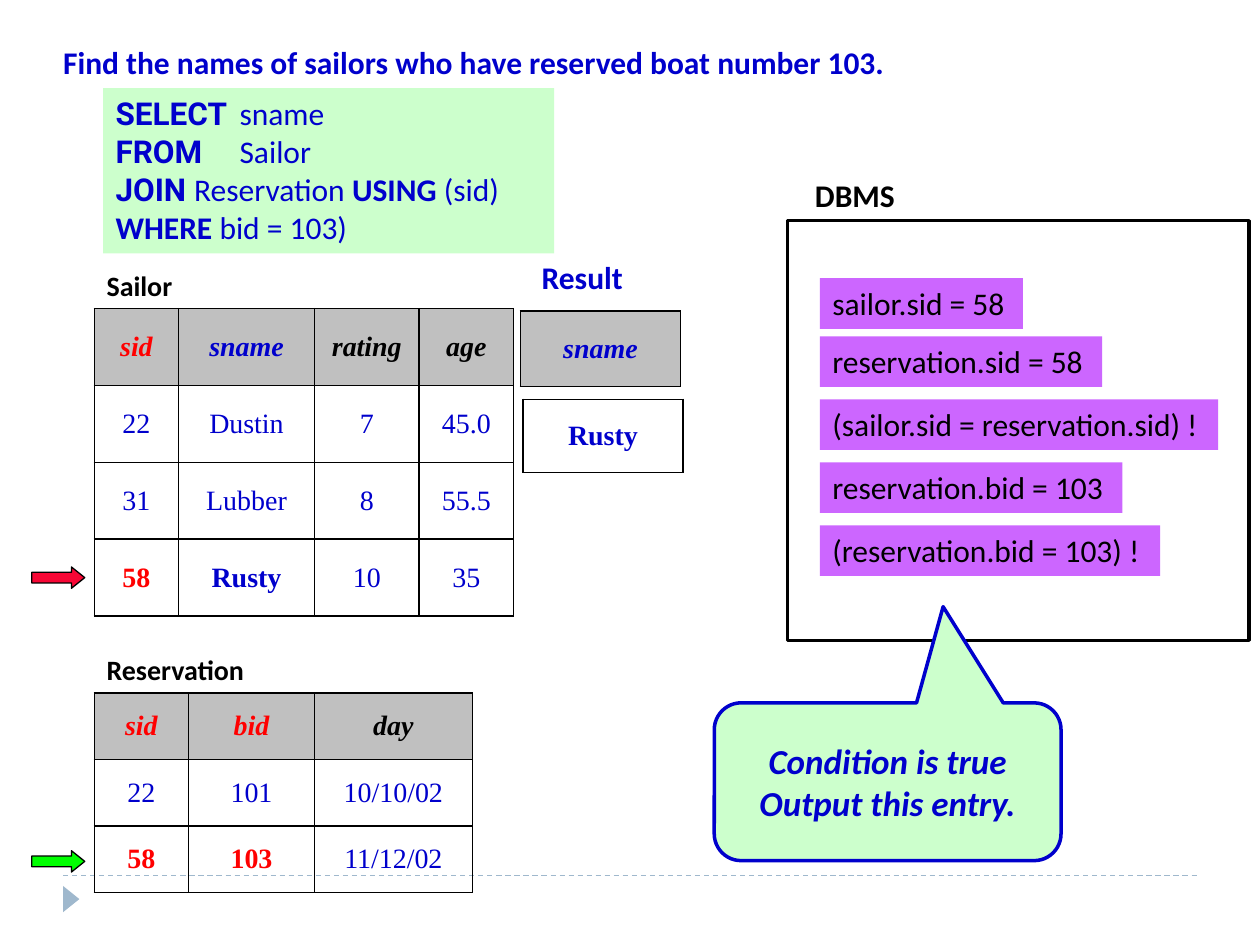
from lxml import etree
from pptx import Presentation
from pptx.dml.color import RGBColor
from pptx.enum.dml import MSO_LINE
from pptx.enum.shapes import MSO_CONNECTOR, MSO_SHAPE
from pptx.enum.text import MSO_ANCHOR, MSO_AUTO_SIZE, PP_ALIGN
from pptx.oxml.ns import qn
from pptx.util import Cm, Pt

LEFT, CENTER = PP_ALIGN.LEFT, PP_ALIGN.CENTER
TOP, MIDDLE = MSO_ANCHOR.TOP, MSO_ANCHOR.MIDDLE
RECT, ARROW = MSO_SHAPE.RECTANGLE, MSO_SHAPE.RIGHT_ARROW
CALLOUT, TRIANGLE = MSO_SHAPE.ROUNDED_RECTANGULAR_CALLOUT, MSO_SHAPE.ISOSCELES_TRIANGLE

COLORS = {
    "blue": "0000CC", "red": "FF0000", "black": "000000", "white": "FFFFFF",
    "gray": "C0C0C0", "mint": "CCFFCC", "purple": "CC66FF", "steel": "9FB8CD",
    "crimson": "F70735", "green": "00FF00",
}
RGB = {name: RGBColor.from_string(value) for name, value in COLORS.items()}


def write(frame, lines, color, align=LEFT, anchor=TOP, wrap=False, tab=None, **base):
    """Fill a text frame; each line is a list of (text, font changes)."""
    frame.word_wrap = wrap
    frame.vertical_anchor = anchor
    for i, line in enumerate(lines):
        paragraph = frame.paragraphs[0] if i == 0 else frame.add_paragraph()
        paragraph.alignment = align
        if tab:
            stops = etree.SubElement(paragraph._p.get_or_add_pPr(), qn("a:tabLst"))
            etree.SubElement(stops, qn("a:tab"), pos=str(tab), algn="l")
        for text, changes in line:
            run = paragraph.add_run()
            run.text = text
            for key, value in {"name": "Calibri", **base, **changes}.items():
                setattr(run.font, key, value)
            run.font.color.rgb = RGB[color]


def add_box(kind, place, fill=None, line=None, width=0.75):
    shape = slide.shapes.add_shape(kind, *map(Cm, place))
    shape.shadow.inherit = False
    if fill:
        shape.fill.solid()
        shape.fill.fore_color.rgb = RGB[fill]
    else:
        shape.fill.background()
    if line:
        shape.line.color.rgb = RGB[line]
        shape.line.width = Pt(width)
    else:
        shape.line.fill.background()
    return shape


prs = Presentation()
prs.slide_width, prs.slide_height = Cm(25.4), Cm(19.05)
slide = prs.slides.add_slide(prs.slide_layouts[5])

# Footer rule and marker
rule = slide.shapes.add_connector(MSO_CONNECTOR.STRAIGHT, Cm(1.27), Cm(17.65), Cm(24.13), Cm(17.65))
rule.line.color.rgb = RGB["steel"]
rule.line.width = Pt(0.75)
rule.line.dash_style = MSO_LINE.DASH
etree.SubElement(rule._element.spPr, qn("a:effectLst"))
marker = add_box(TRIANGLE, (1.17, 17.96, 0.53, 0.33), "steel")
marker.rotation = 90

# Title
title = slide.shapes.title
title.left, title.top, title.width, title.height = map(Cm, (1.02, 0.74, 19.18, 1.02))
title.text_frame.auto_size = MSO_AUTO_SIZE.NONE
question = "Find the names of sailors who have reserved boat number 103."
write(title.text_frame, [[(question, {})]], "blue", size=Pt(18), bold=True)

# Query
keyword = {"name": "Roboto", "bold": True}
bold = {"bold": True}
query = [
    [("SELECT", keyword), ("\tsname", {})],
    [("FROM", keyword), ("\tSailor", {})],
    [("JOIN ", keyword), ("Reservation ", {}), ("USING", bold), (" (sid)", {})],
    [("WHERE", bold), (" bid = 103)", {})],
]
query_box = add_box(RECT, (2.08, 1.78, 9.09, 3.33), "mint")
write(query_box.text_frame, query, "blue", tab=Cm(2.5), size=Pt(18), bold=False)

# Headings
headings = [
    ("Sailor", (1.9, 5.28, 2.06, 0.94), 16, "black"),
    ("Reservation", (1.9, 13.03, 3.71, 0.94), 16, "black"),
    ("Result", (10.67, 5.08, 2.46, 1.02), 18, "blue"),
    ("DBMS", (16.18, 3.43, 4.01, 1.02), 18, "black"),
]
for text, place, size, color in headings:
    heading = slide.shapes.add_textbox(*map(Cm, place))
    write(heading.text_frame, [[(text, {})]], color, size=Pt(size), bold=True)

# Tables: a (text, colour) cell is bold, a plain string is regular blue
sailors = [
    [("sid", "red"), ("sname", "blue"), ("rating", "black"), ("age", "black")],
    ["22", "Dustin", "7", "45.0"],
    ["31", "Lubber", "8", "55.5"],
    [("58", "red"), ("Rusty", "blue"), "10", "35"],
]
reservations = [
    [("sid", "red"), ("bid", "red"), ("day", "black")],
    ["22", "101", "10/10/02"],
    [("58", "red"), ("103", "red"), "11/12/02"],
]
# rows, left, top, column widths, row height, has header, body fill
tables = [
    (sailors, 1.9, 6.22, [1.7, 2.74, 2.11, 1.9], 1.55, True, None),
    (reservations, 1.9, 13.97, [1.9, 2.54, 3.18], 1.34, True, None),
    ([[("sname", "blue")]], 10.49, 6.27, [3.23], 1.52, True, None),
    ([[("Rusty", "blue")]], 10.54, 8.05, [3.23], 1.47, False, "white"),
]
for rows, left, top, widths, row_height, has_header, body_fill in tables:
    table = slide.shapes.add_table(
        len(rows), len(widths), Cm(left), Cm(top), Cm(sum(widths)), Cm(row_height * len(rows))
    ).table
    table.first_row = table.horz_banding = False
    for column, width in zip(table.columns, widths):
        column.width = Cm(width)
    for r, row in enumerate(rows):
        table.rows[r].height = Cm(row_height)
        for c, entry in enumerate(row):
            cell = table.cell(r, c)
            is_header = has_header and r == 0
            is_bold = isinstance(entry, tuple)
            text, color = entry if is_bold else (entry, "blue")
            write(cell.text_frame, [[(text, {})]], color, CENTER, wrap=True,
                  name="Times New Roman", size=Pt(16), bold=is_bold, italic=is_header)
            cell.vertical_anchor = MIDDLE
            properties = cell._tc.get_or_add_tcPr()
            for side in ("lnL", "lnR", "lnT", "lnB"):
                border = etree.SubElement(properties, qn("a:" + side), w=str(Pt(1)))
                paint = etree.SubElement(border, qn("a:solidFill"))
                etree.SubElement(paint, qn("a:srgbClr"), val=COLORS["black"])
            fill = "gray" if is_header else body_fill
            if fill:
                cell.fill.solid()
                cell.fill.fore_color.rgb = RGB[fill]
            else:
                cell.fill.background()

# Current row arrows
for top, color in ((11.43, "crimson"), (17.15, "green")):
    arrow = add_box(ARROW, (0.64, top, 1.07, 0.43), color, "black")
    arrow.adjustments[1] = 0.625

# DBMS frame and its conditions
add_box(RECT, (15.88, 4.45, 9.3, 8.46), line="black", width=2)
conditions = [
    ("sailor.sid = 58", 5.61, 4.09),
    ("reservation.sid = 58", 6.78, 5.69),
    ("(sailor.sid = reservation.sid) !", 8.05, 8.03),
    ("reservation.bid = 103", 9.32, 6.1),
    ("(reservation.bid = 103) !", 10.59, 6.86),
]
for text, top, width in conditions:
    condition = add_box(RECT, (16.53, top, width, 1.02), "purple")
    write(condition.text_frame, [[(text, {})]], "black", size=Pt(18))

# Outcome callout
callout = add_box(CALLOUT, (14.4, 14.17, 6.99, 3.18), "mint", "blue", 2)
for i, value in enumerate((0.16, -1.11, 0.17)):
    callout.adjustments[i] = value
outcome = [[("Condition is true", {})], [("Output this entry.", {})]]
write(callout.text_frame, outcome, "blue", CENTER, MIDDLE, True,
      size=Pt(20), bold=True, italic=True)

prs.save("out.pptx")
